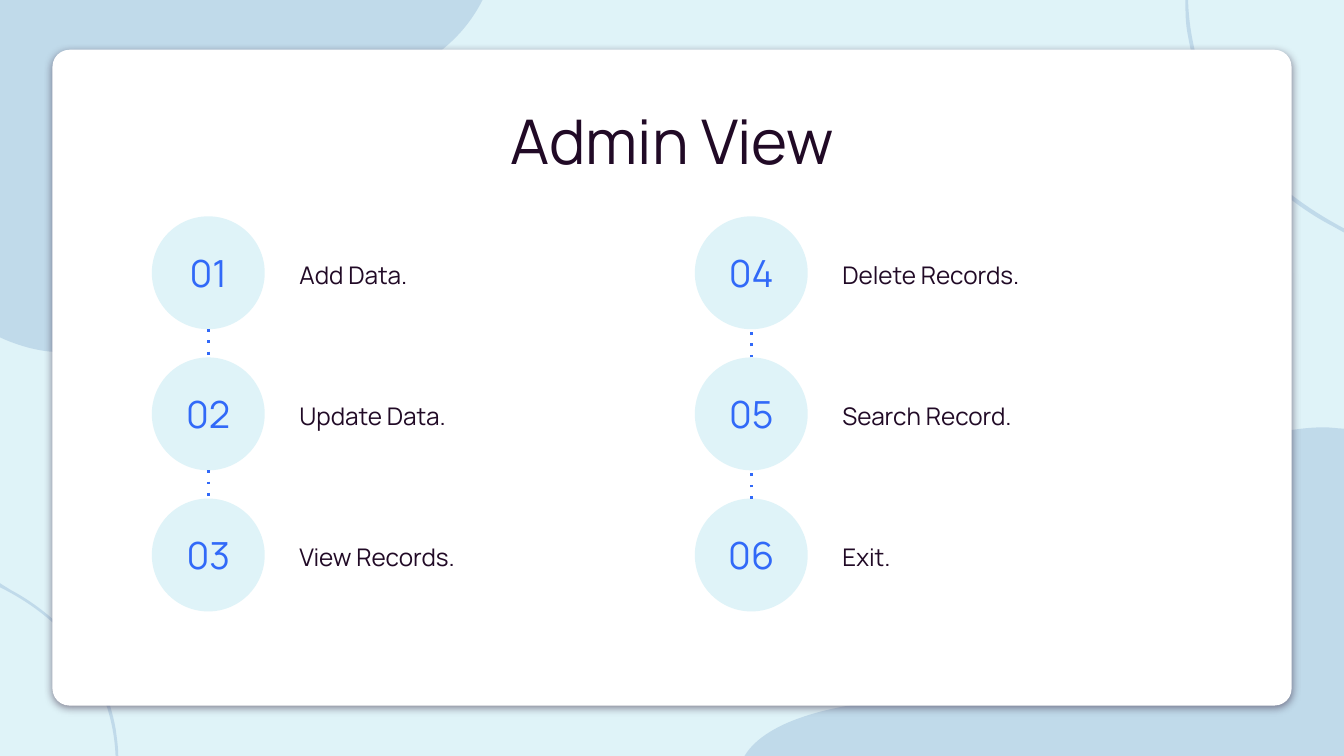
from lxml import etree
from pptx import Presentation
from pptx.dml.color import RGBColor
from pptx.enum.shapes import MSO_CONNECTOR, MSO_SHAPE
from pptx.enum.text import MSO_ANCHOR, PP_ALIGN
from pptx.oxml.ns import qn
from pptx.util import Inches, Pt

LEFT, CENTER = PP_ALIGN.LEFT, PP_ALIGN.CENTER
TOP, MIDDLE = MSO_ANCHOR.TOP, MSO_ANCHOR.MIDDLE
CARD, OVAL = MSO_SHAPE.ROUNDED_RECTANGLE, MSO_SHAPE.OVAL
STRAIGHT = MSO_CONNECTOR.STRAIGHT

# Content
TITLE = "Admin View"
COLS = [
    ["Add Data.", "Update Data.", "View Records."],
    ["Delete Records.", "Search Record.", "Exit."],
]

# Style
FONT = "Manrope"
PALE = RGBColor(0xDF, 0xF3, 0xF8)
MIST = RGBColor(0xA0, 0xBF, 0xDB)
WHITE = RGBColor(0xFF, 0xFF, 0xFF)
INK = RGBColor(0x21, 0x0A, 0x26)
BLUE = RGBColor(0x31, 0x69, 0xF8)

# Grid, in inches
WIDE, HIGH = 10, 10 * 9 / 16
LEFT_X, TOP_Y = 1.13, 1.61
COL_W, ROW_H = 4.04, 1.05
DISC = 0.84
LABEL_X, LABEL_W = 1, 2.71

# Background outlines: a pair is a straight step, six numbers are a curve
BLOBS = [
    [(8.84, 0), (8.85, 0.36, 8.97, 0.73, 9.18, 1.02),
     (9.4, 1.31, 9.68, 1.53, 10, 1.7), (10, 1.73),
     (9.96, 1.71, 9.93, 1.69, 9.89, 1.67),
     (9.63, 1.53, 9.4, 1.33, 9.21, 1.1),
     (9.02, 0.86, 8.89, 0.57, 8.84, 0.27),
     (8.82, 0.18, 8.82, 0.09, 8.82, 0)],
    [(0.45, 2.62), (0.22, 2.62, 0, 2.51, 0, 2.51), (0, 0), (3.59, 0),
     (3.13, 0.91, 1.71, 0.73, 1.12, 0.91),
     (0.53, 1.09, 1.18, 1.96, 0.86, 2.42),
     (0.75, 2.58, 0.6, 2.62, 0.45, 2.62)],
    [(5.54, HIGH), (5.7, 5.36, 6.24, 5.19, 7.12, 5.19),
     (7.15, 5.19, 7.18, 5.19, 7.22, 5.19),
     (7.23, 5.19, 7.24, 5.19, 7.25, 5.19),
     (8.57, 5.19, 8.01, 4.03, 8.99, 3.42),
     (9.25, 3.26, 9.6, 3.18, 9.85, 3.18),
     (9.91, 3.18, 9.96, 3.19, 10, 3.19), (10, HIGH)],
    [(0.86, HIGH), (0.85, 5.36, 0.76, 5.09, 0.6, 4.87),
     (0.45, 4.65, 0.24, 4.49, 0, 4.37), (0, 4.34),
     (0.03, 4.36, 0.05, 4.37, 0.08, 4.39),
     (0.27, 4.49, 0.45, 4.64, 0.59, 4.81),
     (0.73, 4.99, 0.82, 5.2, 0.86, 5.42),
     (0.87, 5.49, 0.88, 5.56, 0.88, HIGH)],
]


def paint(shape, color):
    shape.shadow.inherit = False
    shape.fill.solid()
    shape.fill.fore_color.rgb = color
    shape.line.fill.background()


def fade(node, share):
    tint = node.find(".//" + qn("a:srgbClr"))
    etree.SubElement(tint, qn("a:alpha"), val=str(share * 1000))


def add_blob(slide, steps):
    dots = [(Inches(x), Inches(y)) for step in steps
            for x, y in zip(step[::2], step[1::2])]
    pen = slide.shapes.build_freeform(*dots[0])
    pen.add_line_segments(dots[1:], close=True)
    blob = pen.convert_to_shape()
    paint(blob, MIST)
    fade(blob._element.spPr, 48)

    # Join each three points of a curved step into one curve
    lines = iter(list(blob._element.spPr.iter(qn("a:lnTo"))))
    for step in steps[1:]:
        line = next(lines)
        if len(step) == 6:
            line.tag = qn("a:cubicBezTo")
            for _ in range(2):
                extra = next(lines)
                line.append(extra[0])
                extra.getparent().remove(extra)


def add_shape(slide, kind, box, color):
    shape = slide.shapes.add_shape(kind, *map(Inches, box))
    paint(shape, color)
    return shape


def add_card(slide):
    card = add_shape(slide, CARD, (0.39, 0.37, 9.22, 4.88), WHITE)
    card.adjustments[0] = 0.026
    glow = etree.SubElement(
        card._element.spPr.find(qn("a:effectLst")), qn("a:outerShdw"),
        blurRad=str(Pt(4.5)), dist=str(Pt(1.5)), dir="5400000",
        algn="bl", rotWithShape="0")
    etree.SubElement(glow, qn("a:srgbClr"), val=str(INK))
    fade(glow, 50)


def write(shape, text, size, color, align, anchor, space=1.0):
    frame = shape.text_frame
    frame.text = text
    frame.word_wrap = True
    frame.vertical_anchor = anchor
    frame.margin_left = frame.margin_right = Inches(0.1)
    frame.margin_top = frame.margin_bottom = Inches(0.1)
    para = frame.paragraphs[0]
    para.alignment, para.line_spacing = align, space
    font = para.runs[0].font
    font.name, font.size, font.color.rgb = FONT, Pt(size), color


def add_text(slide, box, *style):
    write(slide.shapes.add_textbox(*map(Inches, box)), *style)


def add_link(slide, x, start, end):
    link = slide.shapes.add_connector(
        STRAIGHT, *map(Inches, (x, start, x, end)))
    link.line.color.rgb = BLUE
    link.line.width = Pt(1.5)
    line = link._element.spPr.find(qn("a:ln"))
    etree.SubElement(line, qn("a:prstDash"), val="dot")
    etree.SubElement(link._element.spPr, qn("a:effectLst"))


def main():
    deck = Presentation()
    deck.slide_width, deck.slide_height = Inches(WIDE), Inches(HIGH)
    slide = deck.slides.add_slide(deck.slide_layouts[6])
    slide.background.fill.solid()
    slide.background.fill.fore_color.rgb = PALE

    # Backdrop
    for steps in BLOBS:
        add_blob(slide, steps)
    add_card(slide)

    # Title
    add_text(slide, (0.78, 0.58, 8.44, 0.78),
             TITLE, 33, INK, CENTER, TOP, 1.15)

    # Numbered steps
    for col, labels in enumerate(COLS):
        x = LEFT_X + col * COL_W
        for row, label in enumerate(labels):
            y = TOP_Y + row * ROW_H
            add_text(slide, (x + LABEL_X, y, LABEL_W, DISC),
                     label, 13, INK, LEFT, MIDDLE, 1.15)
            disc = add_shape(slide, OVAL, (x, y, DISC, DISC), PALE)
            number = f"{col * len(labels) + row + 1:02}"
            write(disc, number, 20, BLUE, CENTER, MIDDLE)

            # Dotted link to the disc above; the second column runs upward
            if row:
                ends = (y - ROW_H + DISC, y)
                add_link(slide, x + DISC / 2, *(ends[::-1] if col else ends))

    deck.save("out.pptx")


if __name__ == "__main__":
    main()
